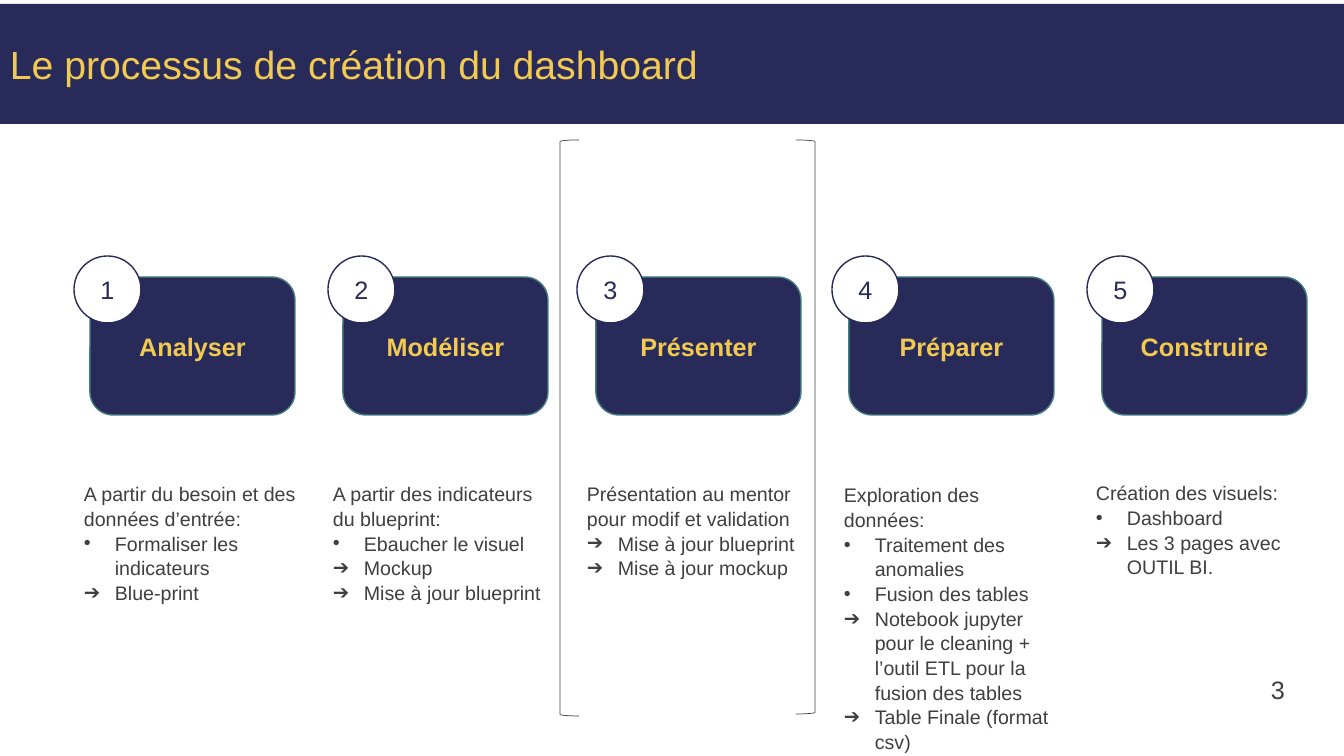
from lxml import etree
from pptx import Presentation
from pptx.dml.color import RGBColor
from pptx.enum.shapes import MSO_SHAPE
from pptx.enum.text import MSO_ANCHOR, PP_ALIGN
from pptx.oxml.ns import qn
from pptx.util import Emu, Pt

PX = 914400 / 100.8
NAVY = RGBColor(0x28, 0x2B, 0x59)
GOLD = RGBColor(0xF2, 0xCA, 0x52)
TEAL = RGBColor(0x45, 0x7E, 0x82)
GREY = RGBColor(0x3F, 0x3F, 0x3F)
WHITE = RGBColor(0xFF, 0xFF, 0xFF)

RECT = MSO_SHAPE.RECTANGLE
CARD = MSO_SHAPE.ROUNDED_RECTANGLE
CIRCLE = MSO_SHAPE.OVAL
LEFT_BRACKET = MSO_SHAPE.LEFT_BRACKET
RIGHT_BRACKET = MSO_SHAPE.RIGHT_BRACKET
MIDDLE = MSO_ANCHOR.MIDDLE
LEFT, CENTER = PP_ALIGN.LEFT, PP_ALIGN.CENTER

FONT = "Arial"
DOT, ARROW = "•", "➔"
CARD_PITCH = 253
BULLET_INDENT = 31

# (card title, badge left, notes left, notes top, intro, bullets)
STEPS = [
    ("Analyser", 74, 74, 476, "A partir du besoin et des données d’entrée:",
     [(DOT, "Formaliser les indicateurs"), (ARROW, "Blue-print")]),
    ("Modéliser", 328, 323, 476, "A partir des indicateurs du blueprint:",
     [(DOT, "Ebaucher le visuel"), (ARROW, "Mockup"),
      (ARROW, "Mise à jour blueprint")]),
    ("Présenter", 577, 577, 476,
     "Présentation au mentor pour modif et validation",
     [(ARROW, "Mise à jour blueprint"), (ARROW, "Mise à jour mockup")]),
    ("Préparer", 832, 834, 477, "Exploration des données:",
     [(DOT, "Traitement des anomalies"), (DOT, "Fusion des tables"),
      (ARROW, "Notebook jupyter pour le cleaning + "
              "l’outil ETL pour la fusion des tables"),
      (ARROW, "Table Finale (format csv)")]),
    ("Construire", 1087, 1086, 475, "Création des visuels:",
     [(DOT, "Dashboard"), (ARROW, "Les 3 pages avec OUTIL BI.")]),
]


def px(length):
    return Emu(round(length * PX))


def add_run(paragraph, text, size, color, bold=False):
    run = paragraph.add_run()
    run.text = text
    run.font.name = FONT
    run.font.size = Pt(size)
    run.font.bold = bold
    run.font.color.rgb = color


def add_preset(slide, kind, box, fill=None, line=None, width=1):
    shape = slide.shapes.add_shape(kind, *map(px, box))
    shape.shadow.inherit = False
    if fill is None:
        shape.fill.background()
    else:
        shape.fill.solid()
        shape.fill.fore_color.rgb = fill
    if line is None:
        shape.line.fill.background()
    else:
        shape.line.color.rgb = line
        shape.line.width = Pt(width)
    return shape


def add_label(shape, text, size, color, align=CENTER, bold=False):
    frame = shape.text_frame
    frame.word_wrap = True
    frame.vertical_anchor = MIDDLE
    paragraph = frame.paragraphs[0]
    paragraph.alignment = align
    add_run(paragraph, text, size, color, bold)


def add_text_frame(slide, box):
    frame = slide.shapes.add_textbox(*map(px, box)).text_frame
    frame.word_wrap = True
    return frame


def set_bullet(paragraph, mark):
    properties = paragraph._p.get_or_add_pPr()
    properties.set("marL", str(px(BULLET_INDENT)))
    properties.set("indent", str(-px(BULLET_INDENT)))
    etree.SubElement(properties, qn("a:buFont"), typeface=FONT)
    etree.SubElement(properties, qn("a:buChar"), char=mark)


def add_title_band(slide, box, title):
    band = add_preset(slide, RECT, box, fill=NAVY)
    add_label(band, title, 28, GOLD, LEFT)


def add_card(slide, box, title):
    card = add_preset(slide, CARD, box, fill=NAVY, line=TEAL)
    add_label(card, title, 18, GOLD, bold=True)


def add_badge(slide, box, number):
    """Numbered circle overlapping the corner of a card."""
    badge = add_preset(slide, CIRCLE, box, fill=WHITE, line=NAVY)
    add_label(badge, str(number), 18, NAVY)


def add_notes_block(slide, box, intro, bullets):
    """Intro sentence followed by its bulleted tasks and deliverables."""
    frame = add_text_frame(slide, box)
    opening = frame.paragraphs[0]
    opening.line_spacing = 1.05
    add_run(opening, intro, 14, GREY)
    for mark, text in bullets:
        item = frame.add_paragraph()
        item.line_spacing = 1.05
        set_bullet(item, mark)
        add_run(item, text, 14, GREY)


def add_page_number(slide, box, number):
    frame = add_text_frame(slide, box)
    add_run(frame.paragraphs[0], str(number), 18, GREY)


def add_process(slide):
    for index, (title, *_) in enumerate(STEPS):
        add_card(slide, (90 + index * CARD_PITCH, 277, 205, 138), title)
    for number, step in enumerate(STEPS, 1):
        _, badge_left, notes_left, notes_top, intro, bullets = step
        add_badge(slide, (badge_left, 256, 67, 67), number)
        add_notes_block(slide, (notes_left, notes_top, 234, 152),
                        intro, bullets)


def add_review_brackets(slide):
    add_preset(slide, LEFT_BRACKET, (560, 140, 19, 576), line=GREY, width=0.5)
    add_preset(slide, RIGHT_BRACKET, (796, 140, 19, 574), line=GREY, width=0.5)


def main():
    presentation = Presentation()
    presentation.slide_width, presentation.slide_height = px(1344), px(756)
    slide = presentation.slides.add_slide(presentation.slide_layouts[6])
    add_page_number(slide, (1261, 669, 65, 72), 3)
    add_title_band(slide, (0, 4, 1344, 120),
                   "Le processus de création du dashboard")
    add_process(slide)
    add_review_brackets(slide)
    presentation.save("out.pptx")


if __name__ == "__main__":
    main()
